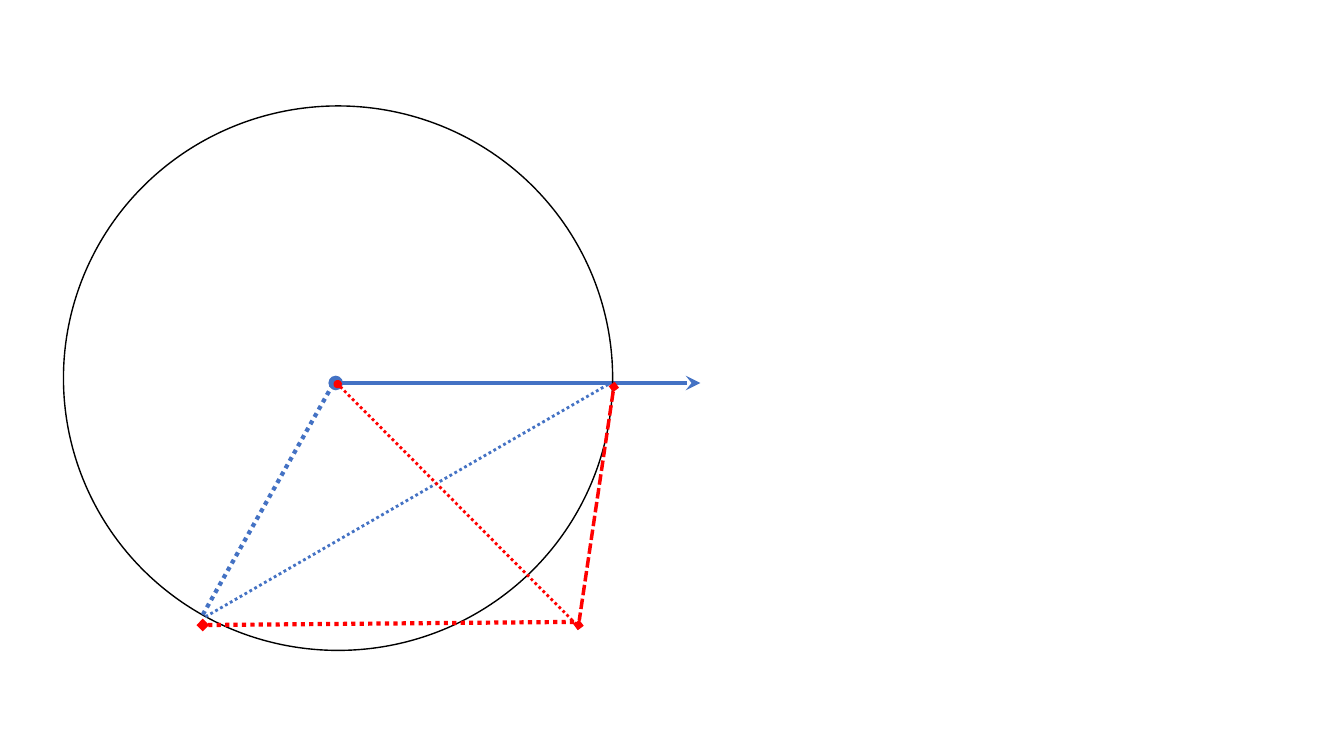
"""Build a slide with a circle, a direction arrow and dashed construction lines."""
from lxml import etree
from pptx import Presentation
from pptx.dml.color import RGBColor
from pptx.enum.dml import MSO_LINE
from pptx.enum.shapes import MSO_CONNECTOR, MSO_SHAPE
from pptx.oxml.ns import qn
from pptx.util import Cm, Pt

BLUE = RGBColor(0x44, 0x72, 0xC4)
RED = RGBColor(0xFF, 0x00, 0x00)
BLACK = RGBColor(0x00, 0x00, 0x00)
OVAL, STRAIGHT = MSO_SHAPE.OVAL, MSO_CONNECTOR.STRAIGHT
DOTS, DASHES = MSO_LINE.ROUND_DOT, MSO_LINE.SQUARE_DOT

SLIDE_SIZE = (33.87, 19.05)
CIRCLE = (1.6, 2.67, 13.84, 13.72)
DIRECTION = dict(start=(8.46, 9.65), end=(17.65, 9.65), color=BLUE, width=3.5,
                 head="oval", tail="stealth")
CONSTRUCTION = [
    dict(start=(5.11, 15.75), end=(14.61, 15.67), color=RED, width=3,
         dash=DOTS, head="diamond"),
    dict(start=(5.18, 15.54), end=(15.39, 9.65), color=BLUE, width=2, dash=DOTS),
    dict(start=(5.11, 15.49), end=(8.41, 9.65), color=BLUE, width=3, dash=DOTS),
    dict(start=(8.51, 9.68), end=(14.61, 15.82), color=RED, width=2,
         dash=DOTS, head="oval"),
    dict(start=(15.47, 9.75), end=(14.58, 15.75), color=RED, width=2.5,
         dash=DASHES, head="diamond", tail="diamond"),
]


def draw_line(slide, start, end, color, width, dash=None, head=None, tail=None):
    """Draw one straight line with optional dashes and end marks."""
    segment = slide.shapes.add_connector(
        STRAIGHT, *[Cm(value) for value in start + end])
    segment.line.color.rgb = color
    segment.line.width = Pt(width)
    if dash is not None:
        segment.line.dash_style = dash
    properties = segment._element.spPr
    outline = properties.find(qn("a:ln"))
    for tag, mark in (("a:headEnd", head), ("a:tailEnd", tail)):
        if mark:
            etree.SubElement(outline, qn(tag), type=mark)
    etree.SubElement(properties, qn("a:effectLst"))


def draw_circle(slide):
    """Draw the unfilled circle."""
    circle = slide.shapes.add_shape(OVAL, *[Cm(value) for value in CIRCLE])
    circle.shadow.inherit = False
    circle.fill.background()
    circle.line.color.rgb = BLACK
    circle.line.width = Pt(1)


def main():
    """Assemble and save the slide."""
    presentation = Presentation()
    presentation.slide_width, presentation.slide_height = map(Cm, SLIDE_SIZE)
    slide = presentation.slides.add_slide(presentation.slide_layouts[6])
    draw_line(slide, **DIRECTION)
    draw_circle(slide)
    for segment in CONSTRUCTION:
        draw_line(slide, **segment)
    presentation.save("out.pptx")


if __name__ == "__main__":
    main()
